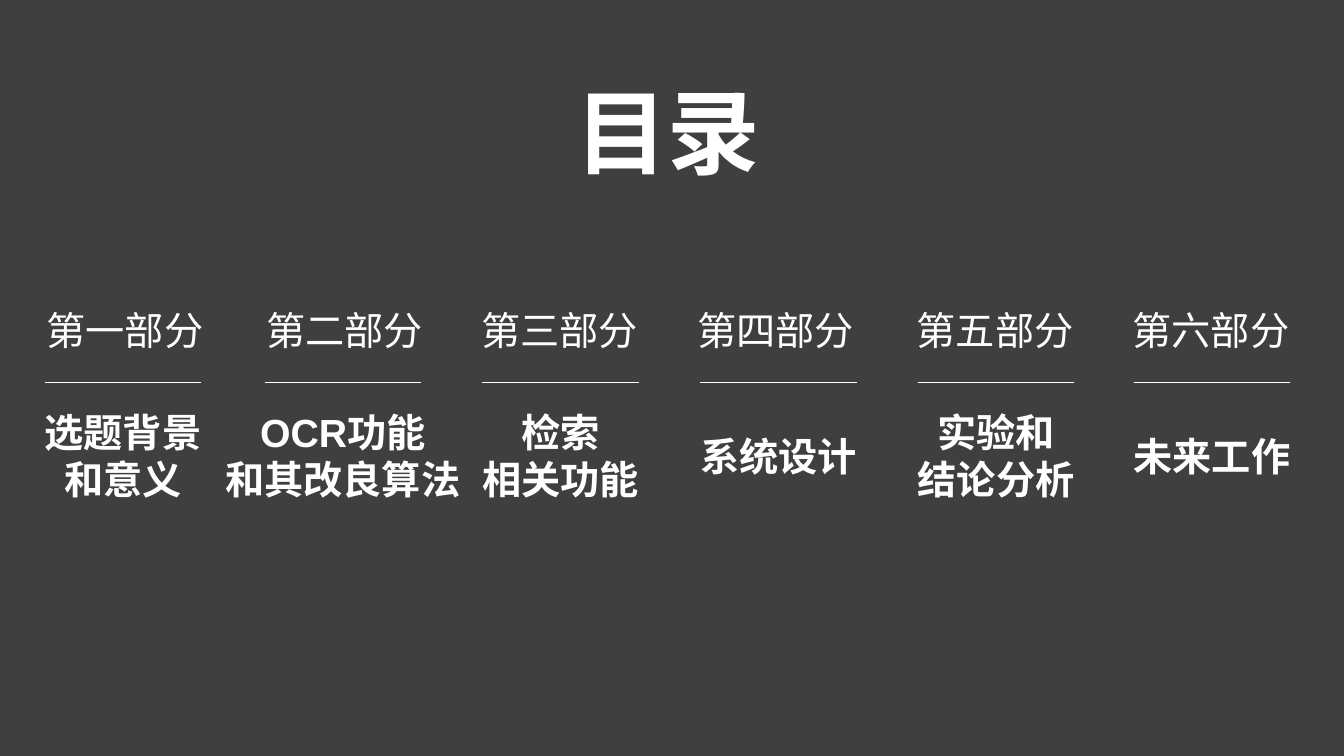
import dataclasses

import pptx
import pptx.dml.color
import pptx.enum.shapes
import pptx.enum.text
import pptx.oxml.ns
import pptx.util
from lxml import etree

Inches = pptx.util.Inches
Pt = pptx.util.Pt
Align = pptx.enum.text.PP_ALIGN


@dataclasses.dataclass(frozen=True)
class Theme:
    background: str = "3F3F3F"
    ink: str = "FFFFFF"
    font: str = "Arial"
    title_size: int = 66
    section_size: int = 28
    rule_width: float = 0.5


THEME = Theme()

SECTIONS = [
    (1.22, 1.25, "第一部分", ["选题背景", "和意义"]),
    (3.4, 3.43, "第二部分", ["OCR功能", "和其改良算法"]),
    (5.56, 5.56, "第三部分", ["检索", "相关功能"]),
    (7.72, 7.7, "第四部分", ["系统设计"]),
    (9.88, 9.88, "第五部分", ["实验和", "结论分析"]),
    (12.02, 12.02, "第六部分", ["未来工作"]),
]


def color(value):
    return pptx.dml.color.RGBColor.from_string(value)


def add_text(page, box, lines, size, bold=False, align=Align.LEFT):
    frame = page.shapes.add_textbox(*map(Inches, box)).text_frame
    frame.word_wrap = False
    frame.auto_size = pptx.enum.text.MSO_AUTO_SIZE.SHAPE_TO_FIT_TEXT
    formats = {"name": THEME.font, "size": Pt(size), "bold": bold}
    for index, line in enumerate(lines):
        para = frame.add_paragraph() if index else frame.paragraphs[0]
        para.alignment = align
        span = para.add_run()
        span.text = line
        for name, value in formats.items():
            setattr(span.font, name, value)
        span.font.color.rgb = color(THEME.ink)


def add_rule(page, left, top, width):
    rule = page.shapes.add_connector(
        pptx.enum.shapes.MSO_CONNECTOR.STRAIGHT,
        Inches(left), Inches(top), Inches(left + width), Inches(top))
    rule.line.color.rgb = color(THEME.ink)
    rule.line.width = Pt(THEME.rule_width)
    etree.SubElement(rule._element.spPr, pptx.oxml.ns.qn("a:effectLst"))


def add_section(page, box, heading_center, heading, topic):
    left, top, width, height = box
    heading_width = 1.77
    add_text(page, (heading_center - heading_width / 2, top, heading_width, 0.57),
             [heading], THEME.section_size)
    rule_width = 1.55
    add_rule(page, left + (width - rule_width) / 2, top + 0.8, rule_width)
    topic_height = 0.57 + 0.47 * (len(topic) - 1)
    topic_top = top + height - (1.04 + topic_height) / 2
    add_text(page, (left, topic_top, width, topic_height), topic,
             THEME.section_size, bold=True, align=Align.CENTER)


def add_contents(page, top, height):
    for center, heading_center, heading, topic in SECTIONS:
        width = 0.2 + 0.39 * max(map(len, topic))
        box = (center - width / 2, top, width, height)
        add_section(page, box, heading_center, heading, topic)


def main():
    deck = pptx.Presentation()
    deck.slide_width = Inches(13.33)
    deck.slide_height = Inches(7.5)
    page = deck.slides.add_slide(deck.slide_layouts[6])
    page.background.fill.solid()
    page.background.fill.fore_color.rgb = color(THEME.background)
    add_text(page, (5.61, 0.7, 2.05, 1.21), ["目录"], THEME.title_size, bold=True)
    add_contents(page, 2.99, 2.05)
    deck.save("out.pptx")


if __name__ == "__main__":
    main()
